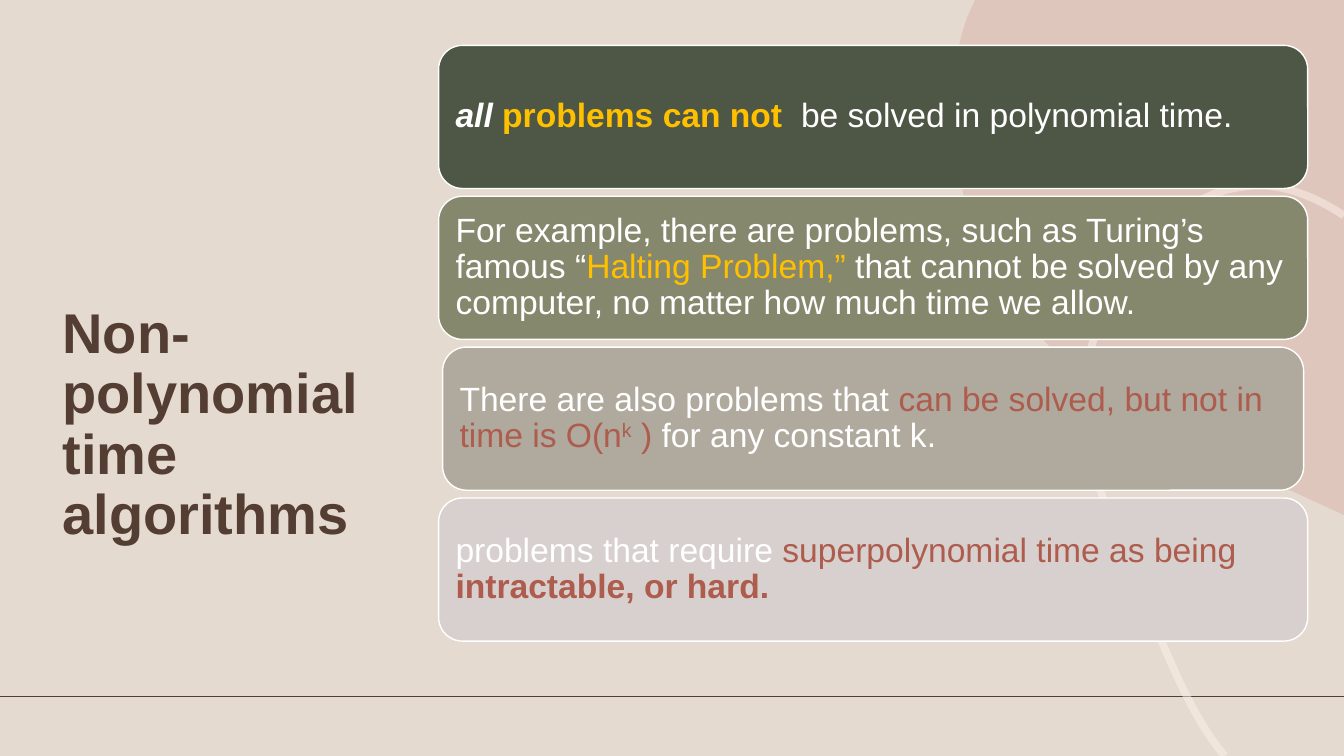
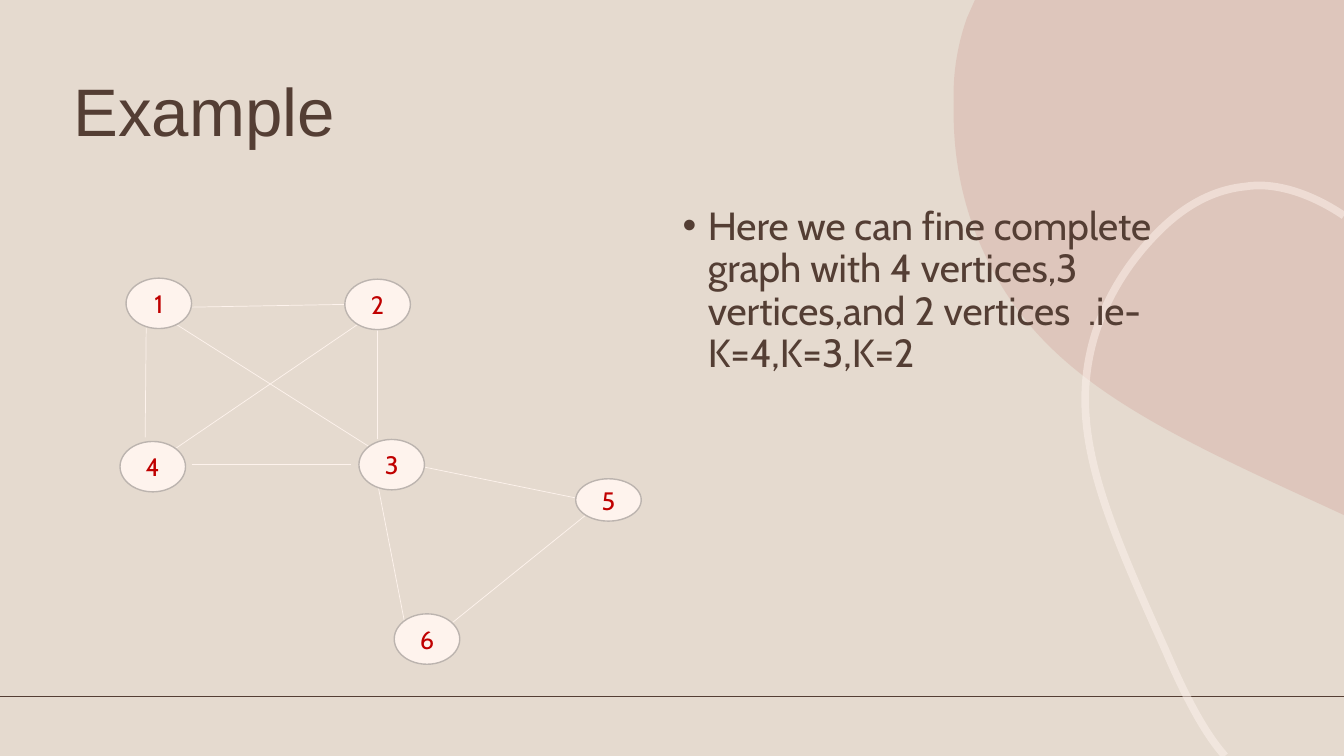
from lxml import etree
from pptx import Presentation
from pptx.dml.color import RGBColor
from pptx.enum import shapes, text
from pptx.oxml.ns import qn
from pptx.util import Inches, Pt

# Palette and fonts
SAND, BROWN, CREAM, ROSE = "E5DACF", "543E34", "FEF3ED", "CF9B92"
WHITE, GOLD, RUST, RED, NODE_EDGE = "FFFFFF", "FFC000", "AD5C4D", "C00000", "BCB4AF"
HEAD_FONT, BODY_FONT = "Arial", "Cabin"

# Content of slide 1: (fill, side inset, runs)
CARDS_TITLE = "Non-polynomial time  algorithms "
CARDS = [
    ("4E5745", 0, [("all ", {"bold": True, "italic": True}),
                   ("problems can not  ", {"bold": True, "color": GOLD}),
                   ("be solved in polynomial time.", {})]),
    ("86886D", 0, [("For example, there are problems, such as Turing’s famous “", {}),
                   ("Halting Problem,” ", {"color": GOLD}),
                   ("that cannot be solved by any computer, "
                    "no matter how much time we allow.", {})]),
    ("B0A99D", 0.04, [("There are also problems that ", {}),
                      ("can be solved, but not in time is O(n", {"color": RUST}),
                      ("k", {"color": RUST, "baseline": 30}),
                      (" ) ", {"color": RUST}),
                      ("for any constant k.", {})]),
    ("D7D0CE", 0, [("problems that require ", {}),
                   ("superpolynomial time as being ", {"color": RUST}),
                   ("intractable, or hard.", {"color": RUST, "bold": True})]),
]
CARD_LEFT, CARD_WIDTH, CARD_HEIGHT = 4.35, 8.62, 1.42
CARDS_TOP, CARDS_BOTTOM = 0.45, 6.36

# Content of slide 2
GRAPH_TITLE = "Example"
GRAPH_NOTE = ("Here we can fine complete graph with 4 vertices,3 vertices,"
              "and 2 vertices  .ie-K=4,K=3,K=2")
VERTEX_WIDTH = 0.65
VERTICES = {  # label: (left, top, height)
    "1": (1.25, 2.76, 0.5), "2": (3.42, 2.77, 0.5), "3": (3.56, 4.36, 0.5),
    "4": (1.19, 4.38, 0.5), "5": (5.71, 4.75, 0.42), "6": (3.91, 6.09, 0.5),
}
EDGES = [
    (1.74, 3.05, 3.42, 3.02), (1.72, 3.2, 3.66, 4.43), (1.44, 4.34, 1.45, 3.25),
    (1.74, 4.45, 3.59, 3.19), (3.74, 4.36, 3.74, 3.27), (1.9, 4.61, 3.48, 4.61),
    (4.19, 4.63, 5.71, 4.94), (4.01, 6.16, 3.74, 4.77), (4.26, 6.36, 5.81, 5.11),
]

# Background curves: each step lists its end point last, after any Bezier controls
BLOB = [
    [(9.67, 0)], [(13.33, 0)], [(13.33, 5.11)], [(13.07, 4.99)],
    [(11.36, 4.21), (10.32, 3.69), (9.78, 2.55)],
    [(9.48, 1.93), (9.45, 1.35), (9.46, 1.01)],
    [(9.45, 0.79), (9.48, 0.49), (9.59, 0.18)],
]
RIBBON = [
    [(12.15, 7.5)],
    [(11.98, 7.31), (11.79, 6.99), (11.56, 6.45)],
    [(10.94, 5.07), (10.58, 4.24), (10.86, 3.32)],
    [(11.01, 2.85), (11.27, 2.53), (11.44, 2.35)],
    [(11.61, 2.17), (11.92, 1.89), (12.36, 1.85)],
    [(12.41, 1.84), (12.47, 1.84), (12.52, 1.84)],
    [(12.79, 1.85), (13.08, 1.97), (13.33, 2.14)],
]


def rgb(value):
    return RGBColor.from_string(value)


def paint(shape, fill=None, line=None, width=1):
    shape.shadow.inherit = False
    for part, color in ((shape.fill, fill), (shape.line.fill, line)):
        if color:
            part.solid()
            part.fore_color.rgb = rgb(color)
        else:
            part.background()
    if line:
        shape.line.width = Pt(width)


def set_alpha(shape, percent):
    color = next(shape.element.spPr.iter(qn("a:srgbClr")))
    etree.SubElement(color, qn("a:alpha"), val=str(percent * 1000))


def place(shape, left, top, width, height):
    shape.left, shape.top = Inches(left), Inches(top)
    shape.width, shape.height = Inches(width), Inches(height)


def write(shape, runs, size, color=BROWN, font=HEAD_FONT, bold=False,
          align="LEFT", anchor="MIDDLE", spacing=0.9, bullet=None):
    """Fill a shape with one paragraph; runs is a string or (text, overrides) pairs."""
    frame = shape.text_frame
    frame.word_wrap = True
    frame.auto_size = text.MSO_AUTO_SIZE.NONE
    frame.vertical_anchor = getattr(text.MSO_ANCHOR, anchor)
    paragraph = frame.paragraphs[0]
    if bullet:
        props = paragraph._p.get_or_add_pPr()
        props.set("marL", str(Inches(0.25)))
        props.set("indent", str(-Inches(0.25)))
        etree.SubElement(props, qn("a:buFont"), typeface="Arial")
        etree.SubElement(props, qn("a:buChar"), char=bullet)
    paragraph.alignment = getattr(text.PP_ALIGN, align)
    paragraph.line_spacing = spacing
    paragraph.space_before = Pt(0)
    for words, change in [(runs, {})] if isinstance(runs, str) else runs:
        run = paragraph.add_run()
        run.text = words
        run.font.name, run.font.size = font, Pt(size)
        run.font.bold = change.get("bold", bold)
        run.font.italic = change.get("italic", False)
        run.font.color.rgb = rgb(change.get("color", color))
        if "baseline" in change:
            run._r.get_or_add_rPr().set("baseline", str(change["baseline"] * 1000))


def add_line(slide, x1, y1, x2, y2, color, width):
    line = slide.shapes.add_connector(
        shapes.MSO_CONNECTOR.STRAIGHT, Inches(x1), Inches(y1), Inches(x2), Inches(y2))
    line.line.color.rgb = rgb(color)
    line.line.width = Pt(width)
    etree.SubElement(line.element.spPr, qn("a:effectLst"))
    return line


def add_curve(slide, steps, close):
    """Build the outline from the end points, then bend the Bezier steps."""
    ends = [(Inches(x), Inches(y)) for x, y in (step[-1] for step in steps)]
    builder = slide.shapes.build_freeform(*ends[0])
    builder.add_line_segments(ends[1:], close=close)
    curve = builder.convert_to_shape()
    segments = list(curve.element.spPr.iter(qn("a:lnTo")))
    for segment, step in zip(segments, steps[1:]):
        if len(step) == 3:
            bend = etree.Element(qn("a:cubicBezTo"))
            for x, y in step:
                etree.SubElement(bend, qn("a:pt"), x=str(Inches(x) - curve.left),
                                 y=str(Inches(y) - curve.top))
            segment.getparent().replace(segment, bend)
    return curve


def decorate_master(master, slide):
    """Draw the shared background parts and move them to the master."""
    master.background.fill.solid()
    master.background.fill.fore_color.rgb = rgb(SAND)
    rule = add_line(slide, 0, 6.91, 13.33, 6.91, BROWN, 1.25)
    blob = add_curve(slide, BLOB, close=True)
    paint(blob, fill=ROSE)
    set_alpha(blob, 30)
    ribbon = add_curve(slide, RIBBON, close=False)
    paint(ribbon, line=CREAM, width=5.5)
    set_alpha(ribbon, 50)
    for part in (rule, blob, ribbon):
        master.shapes.element.append(part.element)


def build_cards(slide):
    title = slide.shapes.title
    place(title, 0.52, 1.17, 4.31, 6.11)
    write(title, CARDS_TITLE, size=40, bold=True, align="JUSTIFY")
    pitch = (CARDS_BOTTOM - CARDS_TOP - CARD_HEIGHT) / (len(CARDS) - 1)
    for i, (fill, inset, runs) in enumerate(CARDS):
        card = slide.shapes.add_shape(
            shapes.MSO_SHAPE.ROUNDED_RECTANGLE,
            Inches(CARD_LEFT + inset), Inches(CARDS_TOP + i * pitch),
            Inches(CARD_WIDTH - 2 * inset), Inches(CARD_HEIGHT))
        paint(card, fill=fill, line=WHITE)
        write(card, runs, size=24, color=WHITE)


def build_graph(slide):
    title, note = slide.shapes.title, slide.placeholders[1]
    place(title, 0.63, 0.77, 11.5, 0.74)
    write(title, GRAPH_TITLE, size=48)
    place(note, 6.67, 2, 5.75, 4.76)
    write(note, GRAPH_NOTE, size=28, font=BODY_FONT, anchor="TOP", bullet="•")
    for edge in EDGES:
        add_line(slide, *edge, CREAM, 0.5)
    for label, (left, top, height) in VERTICES.items():
        vertex = slide.shapes.add_shape(
            shapes.MSO_SHAPE.OVAL, Inches(left), Inches(top),
            Inches(VERTEX_WIDTH), Inches(height))
        paint(vertex, fill=CREAM, line=NODE_EDGE)
        write(vertex, label, size=18, color=RED, font=BODY_FONT,
              align="CENTER", spacing=1.0)


def main():
    deck = Presentation()
    deck.slide_width, deck.slide_height = Inches(13.33), Inches(7.5)
    cards = deck.slides.add_slide(deck.slide_layouts.get_by_name("Title Only"))
    graph = deck.slides.add_slide(deck.slide_layouts.get_by_name("Title and Content"))
    decorate_master(deck.slide_master, cards)
    build_cards(cards)
    build_graph(graph)
    deck.save("out.pptx")


if __name__ == "__main__":
    main()
